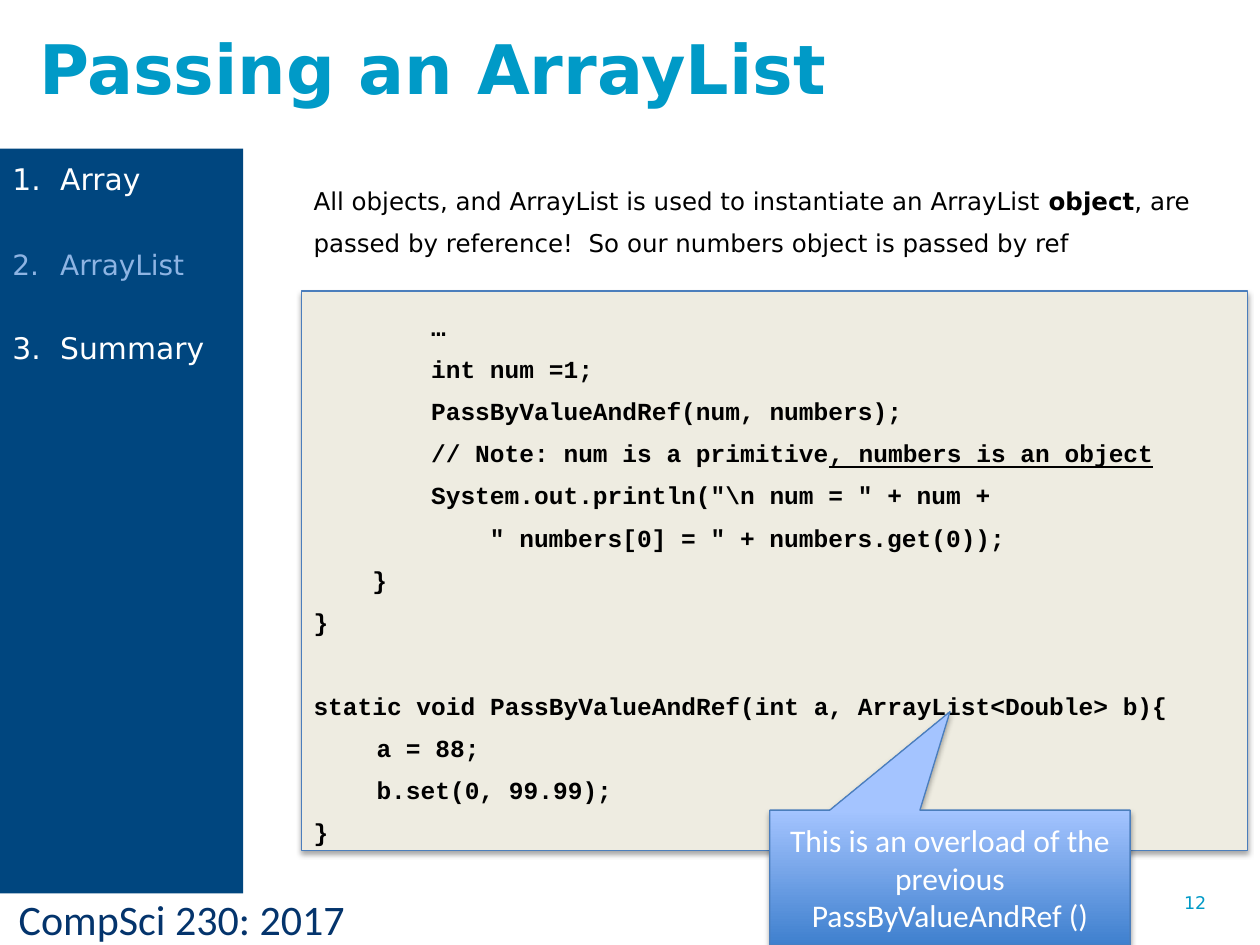
import pptx
import pptx.util
import pptx.dml.color
import pptx.enum.shapes
import pptx.enum.text
import pptx.oxml

Inches, Pt = pptx.util.Inches, pptx.util.Pt
Shapes = pptx.enum.shapes.MSO_SHAPE
Align, Anchor = pptx.enum.text.PP_ALIGN, pptx.enum.text.MSO_ANCHOR
DRAWING = 'xmlns:a="http://schemas.openxmlformats.org/drawingml/2006/main"'

SANS, CODE, LABEL = "DejaVu Sans", "Courier New", "Calibri"
ACCENT, NAVY, EDGE = "009AC7", "00467F", "4B7EBC"
LINE = 24
CODE_SPACE = 14 * 0.6 / 72
TAB = 0.5

title_text = "Passing an ArrayList"
topics = [("Array", 17, "FFFFFF"), ("ArrayList", 16, "8EB4E3"), ("Summary", 17, "FFFFFF")]
intro = [
    ("All objects, and ArrayList is used to instantiate an ArrayList ", {}),
    ("object", {"bold": True}),
    (", are passed by reference!  So our numbers object is passed by ref", {}),
]
code_blocks = [
    [
        (8 * CODE_SPACE, "…"),
        (8 * CODE_SPACE, "int num =1;"),
        (8 * CODE_SPACE, "PassByValueAndRef(num, numbers);"),
        (8 * CODE_SPACE, [("// Note: num is a primitive", {}),
                          (", numbers is an object", {"underline": True})]),
        (8 * CODE_SPACE, 'System.out.println("\\n num = " + num +'),
        (12 * CODE_SPACE, '" numbers[0] = " + numbers.get(0));'),
        (4 * CODE_SPACE, "}"),
        (0, "}"),
    ],
    [
        (0, "static void PassByValueAndRef(int a, ArrayList<Double> b){"),
        (TAB, "a = 88;"),
        (TAB, "b.set(0, 99.99);"),
        (0, "}"),
    ],
]
callout_text = "This is an overload of the previous PassByValueAndRef ()"


def color(value):
    return pptx.dml.color.RGBColor.from_string(value)


def place(box):
    return [Inches(length) for length in box]


def write(shape, text, size=14, font=SANS, fill="000000", bold=False, align=Align.LEFT,
          spacing=None, before=0, indent=0, hanging=0, numbered=False):
    frame = shape.text_frame
    frame.word_wrap = True
    paragraph = frame.paragraphs[0]
    if paragraph.runs:
        paragraph = frame.add_paragraph()
    paragraph.alignment = align
    paragraph.space_before = Pt(before)
    if spacing:
        paragraph.line_spacing = Pt(spacing)
    properties = paragraph._p.get_or_add_pPr()
    properties.set("marL", str(Inches(indent)))
    properties.set("indent", str(Inches(-hanging)))
    if numbered:
        properties.append(pptx.oxml.parse_xml(f'<a:buAutoNum {DRAWING} type="arabicPeriod"/>'))
    for words, extra in [(text, {})] if isinstance(text, str) else text:
        run = paragraph.add_run()
        run.text = words
        run.font.name, run.font.size = font, Pt(size)
        run.font.bold = extra.get("bold", bold)
        run.font.underline = extra.get("underline", False)
        run.font.color.rgb = color(fill)


def add_text_box(box):
    return slide.shapes.add_textbox(*place(box))


def add_panel(kind, box, fill=None, edge=None):
    shape = slide.shapes.add_shape(kind, *place(box))
    shape.shadow.inherit = False
    if fill:
        shape.fill.solid()
        shape.fill.fore_color.rgb = color(fill)
    if edge:
        shape.line.color.rgb = color(edge)
        shape.line.width = Pt(0.75)
        effects = shape._element.spPr.find(pptx.oxml.ns.qn("a:effectLst"))
        effects.append(pptx.oxml.parse_xml(
            f'<a:outerShdw {DRAWING} blurRad="{Pt(3.1)}" dist="{Pt(1.8)}" dir="5400000" '
            'rotWithShape="0"><a:srgbClr val="000000"><a:alpha val="35000"/>'
            '</a:srgbClr></a:outerShdw>'))
    else:
        shape.line.fill.background()
    return shape


presentation = pptx.Presentation()
presentation.slide_width, presentation.slide_height = Inches(10), Inches(7.5)
slide = presentation.slides.add_slide(presentation.slide_layouts[5])

title = slide.shapes.title
title.left, title.top, title.width, title.height = place((0.21, 0.14, 7.13, 0.78))
title.text_frame.vertical_anchor = Anchor.MIDDLE
write(title, title_text, size=39, fill=ACCENT, bold=True)

write(add_text_box((0.05, 7.04, 4.05, 0.5)), "CompSci 230: 2017", size=24, font=LABEL, fill="04346C")
write(add_text_box((9.3, 7.03, 0.7, 0.4)), "12", size=10, fill=ACCENT)

add_panel(Shapes.RECTANGLE, (2.39, 2.31, 7.51, 4.44), "EEECE1", EDGE)
body = add_text_box((2.39, 1.33, 7.44, 5.52))
write(body, intro, spacing=LINE)
for block in code_blocks:
    for number, (indent, line) in enumerate(block):
        write(body, line, font=CODE, bold=True, spacing=LINE, indent=indent,
              before=0 if number else LINE)

callout = add_panel(Shapes.RECTANGULAR_CALLOUT, (6.11, 6.43, 2.86, 1.07), edge=EDGE)
callout.adjustments[0], callout.adjustments[1] = 0, -1.23
callout.fill.gradient()
callout.fill.gradient_angle = 90
for stop, (position, shade) in zip(callout.fill.gradient_stops, [(0, "3F80CE"), (1, "A4C4FF")]):
    stop.position, stop.color.rgb = position, color(shade)
callout.text_frame.vertical_anchor = Anchor.MIDDLE
write(callout, callout_text, size=18, font=LABEL, fill="FFFFFF", align=Align.CENTER)

sidebar = add_panel(Shapes.RECTANGLE, (0, 1.18, 1.93, 5.91), NAVY)
sidebar.text_frame.vertical_anchor = Anchor.TOP
for number, (topic, size, shade) in enumerate(topics):
    write(sidebar, topic, size=size, fill=shade, spacing=LINE, before=LINE if number else 0,
          indent=0.38, hanging=0.38, numbered=True)

presentation.save("out.pptx")
